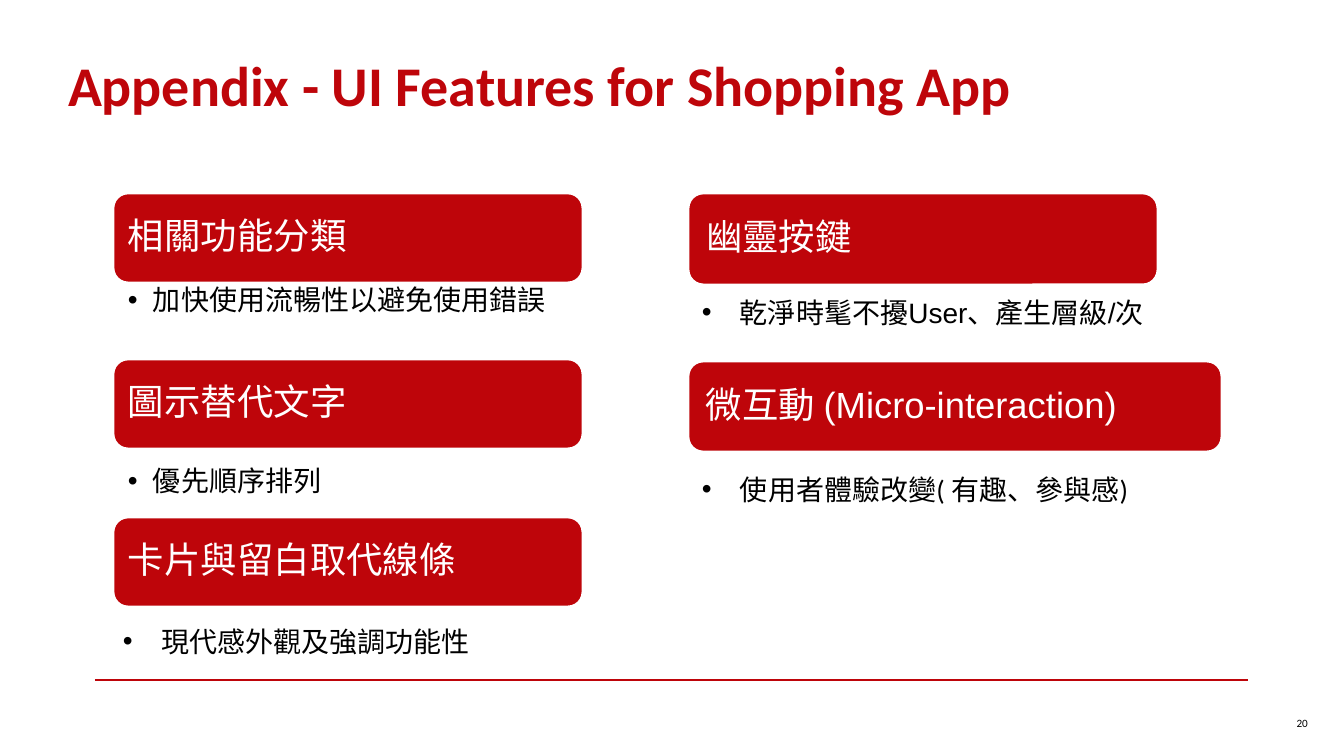
from lxml import etree
from pptx import Presentation
from pptx.dml.color import RGBColor
from pptx.enum.shapes import MSO_CONNECTOR as CONN, MSO_SHAPE as SHAPE
from pptx.enum.text import MSO_ANCHOR as ANCHOR, PP_ALIGN as ALIGN
from pptx.oxml.ns import qn
from pptx.util import Pt

# Content
COLORS = {"red": "BE050A", "white": "FFFFFF", "black": "000000"}
TITLE = "Appendix - UI Features for Shopping App"
PAGE = "20"

# heading, (left, top, width, height) in px, side inset in px
CARDS = [
    ("相關功能分類", (113, 193, 470, 90), 15),
    ("圖示替代文字", (113, 359, 470, 90), 15),
    ("卡片與留白取代線條", (113, 517, 470, 90), 15),
    ("幽靈按鍵", (688, 193, 470, 92), 18),
    ("微互動 (Micro-interaction)", (688, 361, 534, 91), 18),
]

# text, box in px, format
TIGHT = dict(inset=(15, 4), indent=25, spacing=0.9)
LOOSE = dict(inset=(10, 5), indent=38)
BULLETS = [
    ("加快使用流暢性以避免使用錯誤", (113, 282, 470, 52), TIGHT),
    ("優先順序排列", (113, 463, 470, 50), TIGHT),
    ("現代感外觀及強調功能性", (113, 619, 475, 44), dict(LOOSE, font="Calibri")),
    ("乾淨時髦不擾User、產生層級/次", (692, 290, 567, 44), LOOSE),
    ("使用者體驗改變( 有趣、參與感)", (692, 467, 593, 44), dict(LOOSE, font="Calibri")),
]

# Scale: 100.8 px to the inch
EMU_PER_PX = 914400 / 100.8


def px(*values):
    return [round(v * EMU_PER_PX) for v in values]


def rgb(name):
    return RGBColor.from_string(COLORS[name])


def write(sp, text, size, color="black", font="Arial", bold=False, align=ALIGN.LEFT,
          anchor=ANCHOR.TOP, inset=(10, 5), indent=0, spacing=None):
    tf = sp.text_frame
    tf.word_wrap = True
    tf.vertical_anchor = anchor
    tf.margin_left, tf.margin_top = px(*inset)
    tf.margin_right, tf.margin_bottom = px(*inset)
    p = tf.paragraphs[0]
    p.alignment = align
    if spacing:
        p.line_spacing = spacing
    if indent:
        pPr = p._p.get_or_add_pPr()
        step = px(indent)[0]
        pPr.set("marL", str(step))
        pPr.set("indent", str(-step))
        etree.SubElement(pPr, qn("a:buFont")).set("typeface", "Arial")
        etree.SubElement(pPr, qn("a:buChar")).set("char", "•")
    r = p.add_run()
    r.text = text
    r.font.size, r.font.name, r.font.bold = Pt(size), font, bold
    r.font.color.rgb = rgb(color)


prs = Presentation()
prs.slide_width, prs.slide_height = px(1344, 756)
s = prs.slides.add_slide(prs.slide_layouts[6])

# Footer rule
rule = s.shapes.add_connector(CONN.STRAIGHT, *px(95, 680, 1248, 680))
rule.line.color.rgb = rgb("red")
rule.line.width = Pt(1.5)
etree.SubElement(rule._element.spPr, qn("a:effectLst"))

# Title and page number
write(s.shapes.add_textbox(*px(58, 52, 1131, 64)), TITLE, 40, color="red",
      font="Calibri", bold=True, anchor=ANCHOR.MIDDLE)
write(s.shapes.add_textbox(*px(1161, 702, 157, 42)), PAGE, 8, font="Calibri",
      align=ALIGN.RIGHT, anchor=ANCHOR.MIDDLE)

# Heading cards
for heading, box, side in CARDS:
    sp = s.shapes.add_shape(SHAPE.ROUNDED_RECTANGLE, *px(*box))
    sp.shadow.inherit = False
    sp.fill.solid()
    sp.fill.fore_color.rgb = rgb("red")
    sp.line.color.rgb = rgb("white")
    sp.line.width = Pt(2)
    # The preset's text area already starts a little inside the rounded corner
    corner = 0.29 * sp.adjustments[0] * box[3]
    write(sp, heading, 26, color="white", anchor=ANCHOR.MIDDLE,
          inset=(side - corner, 10), spacing=0.9)

# Bullets under the cards
for text, box, style in BULLETS:
    write(s.shapes.add_textbox(*px(*box)), text, 20, **style)

prs.save("out.pptx")
